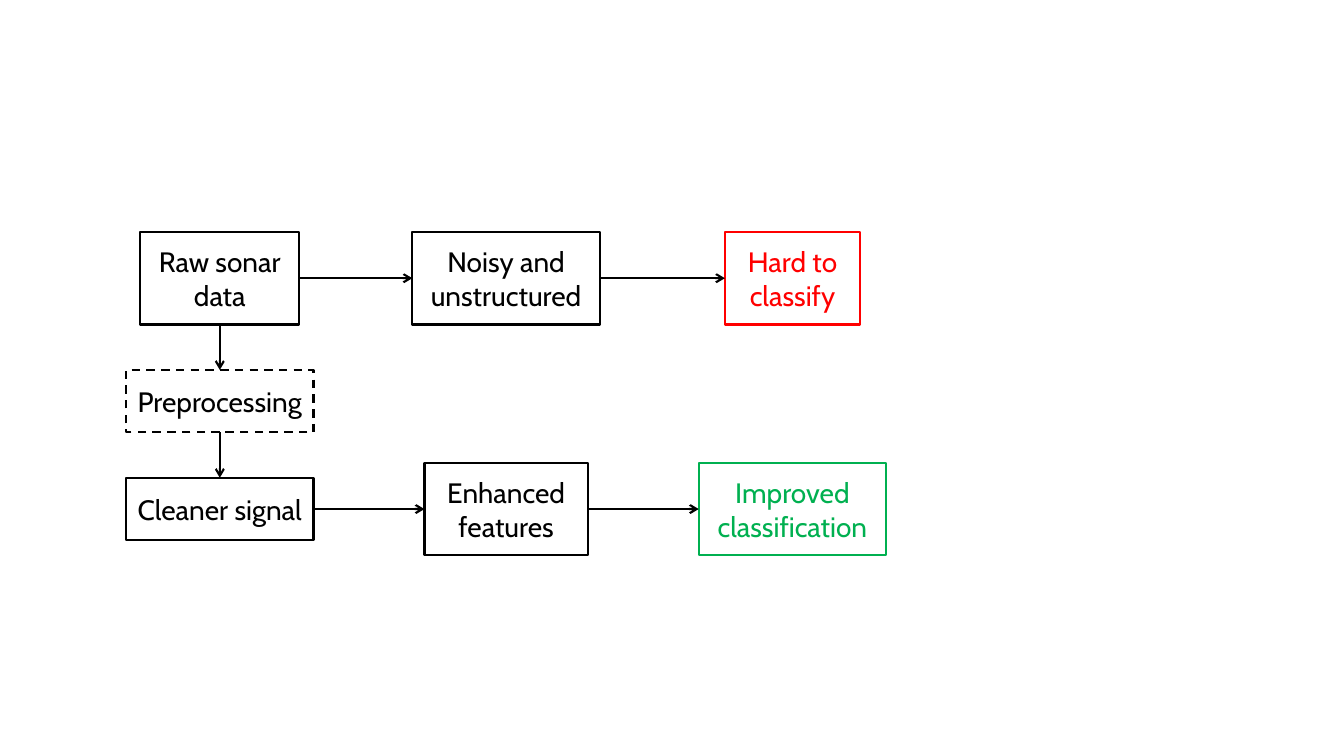
from typing import NamedTuple

from lxml.etree import SubElement
from pptx import Presentation
from pptx.dml.color import RGBColor
from pptx.enum.dml import MSO_LINE
from pptx.enum.shapes import MSO_CONNECTOR, MSO_SHAPE
from pptx.enum.text import MSO_ANCHOR, PP_ALIGN
from pptx.oxml.ns import qn
from pptx.shapes.autoshape import Shape
from pptx.shapes.shapetree import SlideShapes
from pptx.util import Emu, Pt

EMU_PER_PX = 9144  # 100 px to the inch
BLACK, RED, GREEN = "000000", "FF0000", "00B050"
TOP, LEFT, BOTTOM, RIGHT = range(4)

COLUMNS = [218 + 284 * column for column in range(3)]
RAW_ROW, PREPROCESSING_ROW, CLEAN_ROW = 276, 398, 505
ONE_LINE, TWO_LINES = 62, 92


class Step(NamedTuple):
    text: str
    column: int
    center_y: int
    width: int
    height: int
    color: str = BLACK
    dashed: bool = False


class Flow(NamedTuple):
    source: str
    target: str
    exit_side: int = RIGHT
    entry_side: int = LEFT


STEPS = [
    Step("Raw sonar data", 0, RAW_ROW, 158, TWO_LINES),
    Step("Noisy and unstructured", 1, RAW_ROW, 186, TWO_LINES),
    Step("Hard to classify", 2, RAW_ROW, 134, TWO_LINES, RED),
    Step("Preprocessing", 0, PREPROCESSING_ROW, 186, ONE_LINE, dashed=True),
    Step("Cleaner signal", 0, CLEAN_ROW, 186, ONE_LINE),
    Step("Enhanced features", 1, CLEAN_ROW, 162, TWO_LINES),
    Step("Improved classification", 2, CLEAN_ROW, 186, TWO_LINES, GREEN),
]

FLOWS = [
    Flow("Raw sonar data", "Noisy and unstructured"),
    Flow("Noisy and unstructured", "Hard to classify"),
    Flow("Raw sonar data", "Preprocessing", BOTTOM, TOP),
    Flow("Preprocessing", "Cleaner signal", BOTTOM, TOP),
    Flow("Cleaner signal", "Enhanced features"),
    Flow("Enhanced features", "Improved classification"),
]


def px(length: int) -> Emu:
    return Emu(length * EMU_PER_PX)


def rgb(color: str) -> RGBColor:
    return RGBColor.from_string(color)


def draw_step(shapes: SlideShapes, step: Step) -> Shape:
    box = shapes.add_shape(
        MSO_SHAPE.RECTANGLE,
        px(COLUMNS[step.column] - step.width // 2),
        px(step.center_y - step.height // 2),
        px(step.width),
        px(step.height),
    )
    box.shadow.inherit = False
    box.fill.background()
    box.line.color.rgb = rgb(step.color)
    box.line.width = Pt(1.5)
    if step.dashed:
        box.line.dash_style = MSO_LINE.DASH

    frame = box.text_frame
    frame.word_wrap = True
    frame.vertical_anchor = MSO_ANCHOR.MIDDLE
    frame.margin_left = frame.margin_right = 0
    frame.margin_top = frame.margin_bottom = 0
    label = frame.paragraphs[0]
    label.text = step.text
    label.alignment = PP_ALIGN.CENTER
    label.font.name = "Cabin"
    label.font.size = Pt(20)
    label.font.color.rgb = rgb(step.color)
    return box


def draw_flow(shapes: SlideShapes, flow: Flow, boxes: dict[str, Shape]) -> None:
    arrow = shapes.add_connector(MSO_CONNECTOR.STRAIGHT, 0, 0, 0, 0)
    arrow.begin_connect(boxes[flow.source], flow.exit_side)
    arrow.end_connect(boxes[flow.target], flow.entry_side)
    arrow.line.color.rgb = rgb(BLACK)
    arrow.line.width = Pt(1.5)
    properties = arrow.element.spPr
    SubElement(properties.find(qn("a:ln")), qn("a:tailEnd"), type="arrow")
    SubElement(properties, qn("a:effectLst"))


def main() -> None:
    presentation = Presentation()
    presentation.slide_width = px(1333)
    presentation.slide_height = px(750)
    slide = presentation.slides.add_slide(presentation.slide_layouts[6])

    boxes = {step.text: draw_step(slide.shapes, step) for step in STEPS}
    for flow in FLOWS:
        draw_flow(slide.shapes, flow, boxes)

    presentation.save("out.pptx")


if __name__ == "__main__":
    main()
